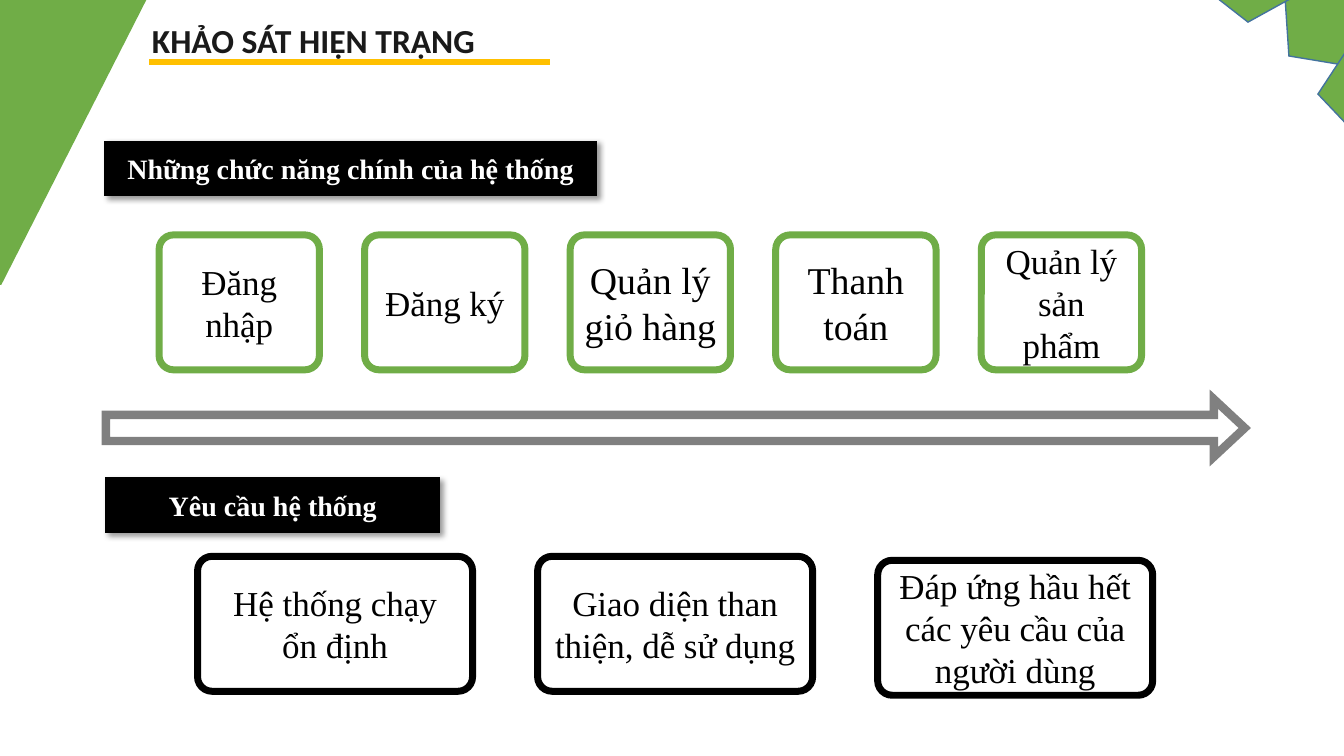
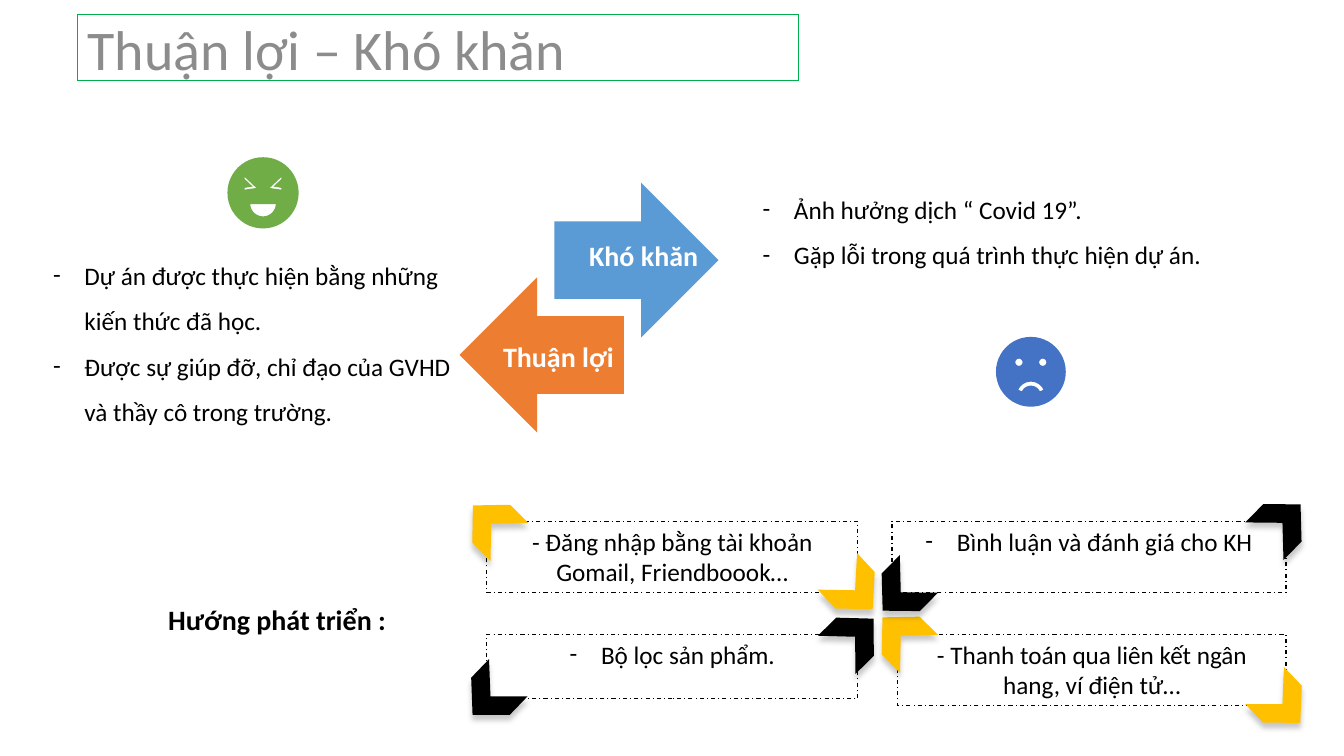
import math

import pptx
import pptx.util
import pptx.dml.color
import pptx.enum.dml
import pptx.enum.shapes
import pptx.enum.text
import pptx.oxml
import pptx.oxml.ns

Cm, Pt = pptx.util.Cm, pptx.util.Pt
SHAPE = pptx.enum.shapes.MSO_SHAPE
ALIGN = pptx.enum.text.PP_ALIGN
ANCHOR = pptx.enum.text.MSO_ANCHOR
NS = pptx.oxml.ns.nsdecls("a")

COLORS = {
    "black": "000000", "white": "FFFFFF", "ink": "1A1A1A", "grey": "808080",
    "title": "8C8C8C", "green": "70AD47", "edge": "43739E", "gold": "FFC000",
    "frame": "00B050", "orange": "ED7D31", "sky": "5B9BD5", "blue": "4472C4",
}
SERIF, SANS = "Times New Roman", "Calibri"
HEADING_SHADOW = (40, 4, 3, 45)  # opacity %, blur pt, distance pt, angle
CHEVRON_SHADOW = (22, 4, 4, 90)


def rgb(name):
    return pptx.dml.color.RGBColor.from_string(COLORS[name])


def arc(x, y, radius, start=0, end=360, steps=48):
    """Points along an arc, angles in degrees, clockwise on the slide."""
    angles = [math.radians(start + (end - start) * i / steps) for i in range(steps + 1)]
    return [(x + radius * math.cos(a), y + radius * math.sin(a)) for a in angles]


class Deck:
    def __init__(self):
        self.prs = pptx.Presentation()
        self.prs.slide_width, self.prs.slide_height = Cm(33.87), Cm(19.05)
        self.slide = None

    def new_slide(self):
        self.slide = self.prs.slides.add_slide(self.prs.slide_layouts[6])

    def paint(self, shape, fill=None, line=None, width=1, dash=None, shadow=None):
        shape.shadow.inherit = False
        if fill:
            shape.fill.solid()
            shape.fill.fore_color.rgb = rgb(fill)
        else:
            shape.fill.background()
        if line:
            shape.line.color.rgb = rgb(line)
            shape.line.width = Pt(width)
            if dash:
                shape.line.dash_style = dash
            outline = shape.element.spPr.find(pptx.oxml.ns.qn("a:ln"))
            outline.append(pptx.oxml.parse_xml(f'<a:miter {NS} lim="800000"/>'))
        else:
            shape.line.fill.background()
        if shadow:
            opacity, blur, distance, angle = shadow
            effects = shape.element.spPr.find(pptx.oxml.ns.qn("a:effectLst"))
            effects.append(pptx.oxml.parse_xml(
                f'<a:outerShdw {NS} blurRad="{Pt(blur)}" dist="{Pt(distance)}" '
                f'dir="{angle * 60000}" algn="ctr" rotWithShape="0"><a:srgbClr val="000000">'
                f'<a:alpha val="{opacity * 1000}"/></a:srgbClr></a:outerShdw>'))

    def shape(self, kind, box, rotation=0, adjust=(), **look):
        shape = self.slide.shapes.add_shape(kind, *map(Cm, box))
        shape.rotation = rotation
        for i, value in enumerate(adjust):
            shape.adjustments[i] = value
        self.paint(shape, **look)
        return shape

    def set_text(self, shape, text, size, font=SANS, color="black", bold=False,
                 align=ALIGN.LEFT, anchor=ANCHOR.TOP, bullet=False, spacing=None):
        frame = shape.text_frame
        frame.word_wrap = True
        frame.vertical_anchor = anchor
        frame.text = text
        for paragraph in frame.paragraphs:
            paragraph.alignment = align
            if spacing:
                paragraph.line_spacing = spacing
            if bullet:
                props = paragraph._p.get_or_add_pPr()
                props.set("marL", str(Cm(0.79)))
                props.set("indent", str(-Cm(0.79)))
                props.append(pptx.oxml.parse_xml(f'<a:buFont {NS} typeface="{SANS}"/>'))
                props.append(pptx.oxml.parse_xml(f'<a:buChar {NS} char="-"/>'))
            for run in paragraph.runs:
                run.font.size, run.font.name, run.font.bold = Pt(size), font, bold
                run.font.color.rgb = rgb(color)

    def text(self, box, text, size, **style):
        label = self.slide.shapes.add_textbox(*map(Cm, box))
        self.set_text(label, text, size, **style)
        return label

    def heading(self, box, text):
        bar = self.shape(SHAPE.RECTANGLE, box, fill="black", line="black",
                         shadow=HEADING_SHADOW)
        self.set_text(bar, text, 20, SERIF, "white", True, ALIGN.CENTER, ANCHOR.MIDDLE)

    def card(self, box, text, size, line):
        card = self.shape(SHAPE.ROUNDED_RECTANGLE, box, adjust=[0.107],
                          fill="white", line=line, width=5)
        self.set_text(card, text, size, SERIF, align=ALIGN.CENTER, anchor=ANCHOR.MIDDLE)

    def plan(self, box, text, bullet):
        plan = self.shape(SHAPE.RECTANGLE, box, line="black", width=0.75,
                          dash=pptx.enum.dml.MSO_LINE.DASH_DOT)
        self.set_text(plan, text, 18, align=ALIGN.CENTER, bullet=bullet)

    def face(self, x, y, features, **look):
        """A disc around (x, y) with the features cut out of it."""
        outlines = [[(Cm(x + dx), Cm(y + dy)) for dx, dy in outline]
                    for outline in [arc(0, 0, 0.88)] + features]
        builder = self.slide.shapes.build_freeform(*outlines[0][0])
        builder.add_line_segments(outlines[0][1:], close=True)
        for outline in outlines[1:]:
            builder.move_to(*outline[0])
            builder.add_line_segments(outline[1:], close=True)
        self.paint(builder.convert_to_shape(), **look)


def survey_slide(deck):
    deck.new_slide()

    # Corner decoration
    deck.shape(SHAPE.RIGHT_TRIANGLE, (-1.75, 1.75, 7.19, 3.66), 90,
               fill="green", line="green")
    for left, top, width, rotation in [(32.23, -0.48, 2.18, 227.8),
                                       (30.23, -1.7, 2.62, 184.5),
                                       (33.25, 1.14, 2.18, 264.9)]:
        deck.shape(SHAPE.REGULAR_PENTAGON, (left, top, width, 2.26), rotation,
                   fill="green", line="edge")

    # Title
    title = deck.text((3.53, 0.38, 12.4, 1.27), "KHẢO SÁT HIỆN TRẠNG", 24,
                      color="ink", bold=True)
    title.text_frame.margin_left = title.text_frame.margin_right = Cm(0.3)
    deck.shape(SHAPE.RECTANGLE, (3.78, 1.5, 10.06, 0.13), fill="gold", line="gold")

    # Main functions
    deck.heading((2.64, 3.56, 12.4, 1.37), "Những chức năng chính của hệ thống")
    functions = [("Đăng nhập", 25), ("Đăng ký", 25), ("Quản lý giỏ hàng", 27),
                 ("Thanh toán", 27), ("Quản lý sản phẩm", 25)]
    for i, (name, size) in enumerate(functions):
        deck.card((4.01 + 5.18 * i, 5.92, 4.04, 3.4), name, size, "green")
    deck.shape(SHAPE.RIGHT_ARROW, (2.67, 10.06, 28.7, 1.45), adjust=[0.453, 0.536],
               fill="white", line="grey", width=6)

    # System requirements
    deck.heading((2.67, 12.04, 8.41, 1.37), "Yêu cầu hệ thống")
    requirements = [("Hệ thống chạy ổn định", 14.02),
                    ("Giao diện than thiện, dễ sử dụng", 14.02),
                    ("Đáp ứng hầu hết các yêu cầu của người dùng", 14.12)]
    for i, (requirement, top) in enumerate(requirements):
        deck.card((4.98 + 8.57 * i, top, 6.93, 3.4), requirement, 25, "black")


def pros_cons_slide(deck):
    deck.new_slide()

    # Title
    title = deck.shape(SHAPE.RECTANGLE, (1.96, 0.36, 18.16, 1.68),
                       line="frame", width=0.75)
    deck.set_text(title, "Thuận lợi – Khó khăn", 40, color="title",
                  anchor=ANCHOR.MIDDLE)

    # Opposing arrows
    for left, top, rotation, color in [(11.58, 6.99, 180, "orange"),
                                       (13.97, 4.6, 0, "sky")]:
        deck.shape(SHAPE.RIGHT_ARROW, (left, top, 4.14, 3.91), rotation, fill=color)
    for left, top, side in [(11.43, 8.41, "Thuận lợi"), (13.56, 5.87, "Khó khăn")]:
        deck.text((left, top, 4.29, 1.12), side, 20, color="white", bold=True,
                  align=ALIGN.RIGHT, anchor=ANCHOR.MIDDLE)

    # Advantages and difficulties
    deck.text((1.09, 6.05, 10.67, 4.88),
              "Dự án được thực hiện bằng những kiến thức đã học.\n"
              "Được sự giúp đỡ, chỉ đạo của GVHD và thầy cô trong trường.",
              18, bullet=True, spacing=1.5)
    deck.text((18.97, 4.39, 14.02, 2.57),
              "Ảnh hưởng dịch “ Covid 19”.\nGặp lỗi trong quá trình thực hiện dự án.",
              18, bullet=True, spacing=1.5)

    # Happy and sad faces
    wink = [(0.48, -0.44), (0.13, -0.11), (0.48, -0.06),
            (0.48, -0.14), (0.3, -0.17), (0.48, -0.34)]
    grin = arc(0, 0.27, 0.34, 0, 180)
    deck.face(6.63, 4.86, [grin, wink, [(-x, y) for x, y in wink]],
              fill="green", line="green")
    frown = arc(0, 0.6, 0.35, 205, 335) + arc(0, 0.6, 0.25, 335, 205)
    deck.face(25.98, 9.37, [frown] + [arc(x, -0.24, 0.09) for x in (-0.3, 0.3)],
              fill="blue")

    # Future development
    deck.text((3.99, 15.06, 7.06, 1.12), "Hướng phát triển :", 20, bold=True)
    deck.plan((12.27, 13.13, 9.35, 1.8),
              "- Đăng nhập bằng tài khoản Gomail, Friendboook…", False)
    deck.plan((12.27, 15.98, 9.35, 1.63), "Bộ lọc sản phẩm.", True)
    deck.plan((22.48, 13.13, 9.93, 1.8), "Bình luận và đánh giá cho KH", True)
    deck.plan((22.63, 15.98, 9.78, 1.8),
              "- Thanh toán qua liên kết ngân hang, ví điện tử…", False)

    # Corner marks
    corners = {
        "gold": [(11.73, 12.52, 225), (22.05, 15.34, 225),
                 (31.67, 17.07, 46.2), (20.9, 14.2, 47)],
        "black": [(11.71, 16.87, 133.9), (31.67, 12.5, 314.5),
                  (22.05, 14.25, 134.6), (20.9, 15.37, 315.5)],
    }
    for color, marks in corners.items():
        for left, top, rotation in marks:
            deck.shape(SHAPE.CHEVRON, (left, top, 1.3, 1.35), rotation,
                       fill=color, shadow=CHEVRON_SHADOW)


def main():
    deck = Deck()
    survey_slide(deck)
    pros_cons_slide(deck)
    deck.prs.save("out.pptx")


if __name__ == "__main__":
    main()
